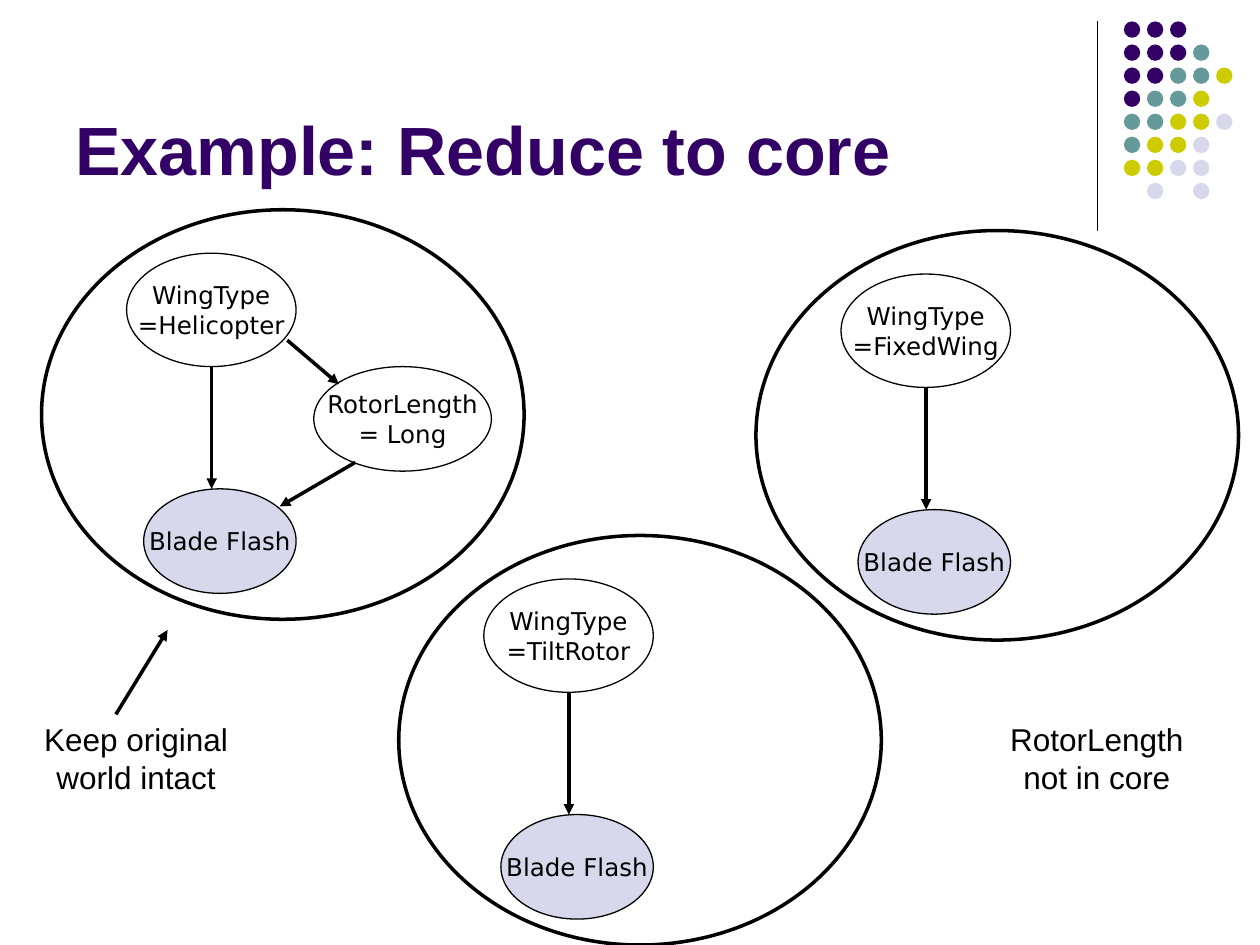
from lxml import etree
from pptx import Presentation
from pptx.dml.color import RGBColor
from pptx.enum.shapes import MSO_CONNECTOR, MSO_SHAPE
from pptx.enum.text import MSO_ANCHOR, MSO_AUTO_SIZE, PP_ALIGN
from pptx.oxml.ns import qn
from pptx.util import Inches, Pt

ELLIPSE = MSO_SHAPE.OVAL
STRAIGHT = MSO_CONNECTOR.STRAIGHT
GROW = MSO_AUTO_SIZE.SHAPE_TO_FIT_TEXT
TOP, MIDDLE, BOTTOM = MSO_ANCHOR.TOP, MSO_ANCHOR.MIDDLE, MSO_ANCHOR.BOTTOM
LEFT, CENTER = PP_ALIGN.LEFT, PP_ALIGN.CENTER

COLORS = {
    "black": "000000",
    "purple": "330066",
    "teal": "669999",
    "olive": "CCCC00",
    "lavender": "D8D8EC",
}

prs = Presentation()
prs.slide_width, prs.slide_height = Inches(10), Inches(7.5)
s = prs.slides.add_slide(prs.slide_layouts[6])

# Grid of 100 columns by 75 rows
COL = prs.slide_width / 100
ROW = prs.slide_height / 75


def add_line(start, end, weight, arrow=True):
    (x1, y1), (x2, y2) = start, end
    c = s.shapes.add_connector(STRAIGHT, int(x1 * COL), int(y1 * ROW),
                               int(x2 * COL), int(y2 * ROW))
    c.line.color.rgb = RGBColor.from_string(COLORS["black"])
    c.line.width = Pt(weight)
    if arrow:
        etree.SubElement(c.line._get_or_add_ln(), qn("a:tailEnd"), type="triangle")
    etree.SubElement(c._element.spPr, qn("a:effectLst"))


def add_text(sp, lines, size, font, color="black", bold=False,
             align=CENTER, anchor=TOP, wrap=False):
    tf = sp.text_frame
    tf.word_wrap = wrap
    tf.vertical_anchor = anchor
    for i, line in enumerate(lines):
        p = tf.paragraphs[0] if i == 0 else tf.add_paragraph()
        p.alignment = align
        r = p.add_run()
        r.text = line
        r.font.size, r.font.name, r.font.bold = Pt(size), font, bold
        r.font.color.rgb = RGBColor.from_string(COLORS[color])


# Corner ornament: one letter per dot, one string per row
add_line((87.1, 1.7), (87.1, 18.3), 0.75, arrow=False)
DOT_KEY = {"P": "purple", "T": "teal", "O": "olive", "L": "lavender"}
DOT_ROWS = ["PPP", "PPPT", "PPTTO", "PTTO", "TTOOL", "TOOL", "OOLL", " L L"]
DOT_PITCH = 1.83
ellipses = []  # column, row, width, height, fill, line weight, text lines
for j, dot_row in enumerate(DOT_ROWS):
    for i, key in enumerate(dot_row):
        if key in DOT_KEY:
            ellipses.append((89.2 + i * DOT_PITCH, 1.7 + j * DOT_PITCH, 1.3, 1.3,
                             DOT_KEY[key], 0, []))

# Worlds: the same small network inside a large outline
WORLDS = [(3.3, 16.65, "=Helicopter"), (31.65, 42.5, "=TiltRotor"),
          (60, 18.3, "=FixedWing")]
for x, y, wing in WORLDS:
    ellipses += [
        (x + 6.75, y + 3.45, 13.45, 9, None, 0.75, ["WingType", wing]),
        (x + 8.1, y + 22.15, 12.1, 8.3, "lavender", 0.75, ["Blade Flash"]),
        (x, y, 38.3, 32.5, None, 2, []),
    ]
    add_line((x + 13.5, y + 12.45), (x + 13.5, y + 22.15), 2)

# Rotor length, kept in the first world only
ellipses.append((24.9, 29.1, 14.1, 8.3, None, 0.75, ["RotorLength", "= Long"]))
add_line((22.8, 27), (26.9, 30.5), 2)
add_line((28.2, 36.7), (22.2, 40.2), 2)

for x, y, w, h, fill, weight, lines in ellipses:
    sp = s.shapes.add_shape(ELLIPSE, int(x * COL), int(y * ROW), int(w * COL), int(h * ROW))
    sp.shadow.inherit = False
    if fill:
        sp.fill.solid()
        sp.fill.fore_color.rgb = RGBColor.from_string(COLORS[fill])
    else:
        sp.fill.background()
    if weight:
        sp.line.color.rgb = RGBColor.from_string(COLORS["black"])
        sp.line.width = Pt(weight)
    else:
        sp.line.fill.background()
    if lines:
        add_text(sp, lines, 14, "DejaVu Sans", anchor=MIDDLE)

# Title
sp = s.shapes.add_textbox(int(5 * COL), int(1.3 * ROW), int(82.5 * COL), int(14.2 * ROW))
add_text(sp, ["Example: Reduce to core"], 39, "Arial", "purple", bold=True,
         align=LEFT, anchor=BOTTOM, wrap=True)

# Captions, sized to fit their text
CAPTIONS = [(2.5, 16.6, ["Keep original", "world intact"]),
            (79, 16.1, ["RotorLength", "not in core"])]
for x, w, lines in CAPTIONS:
    sp = s.shapes.add_textbox(int(x * COL), int(56.65 * ROW), int(w * COL), int(7 * ROW))
    add_text(sp, lines, 18, "Arial")
    sp.text_frame.auto_size = GROW
add_line((9.2, 56.7), (13.3, 50), 2)

prs.save("out.pptx")
